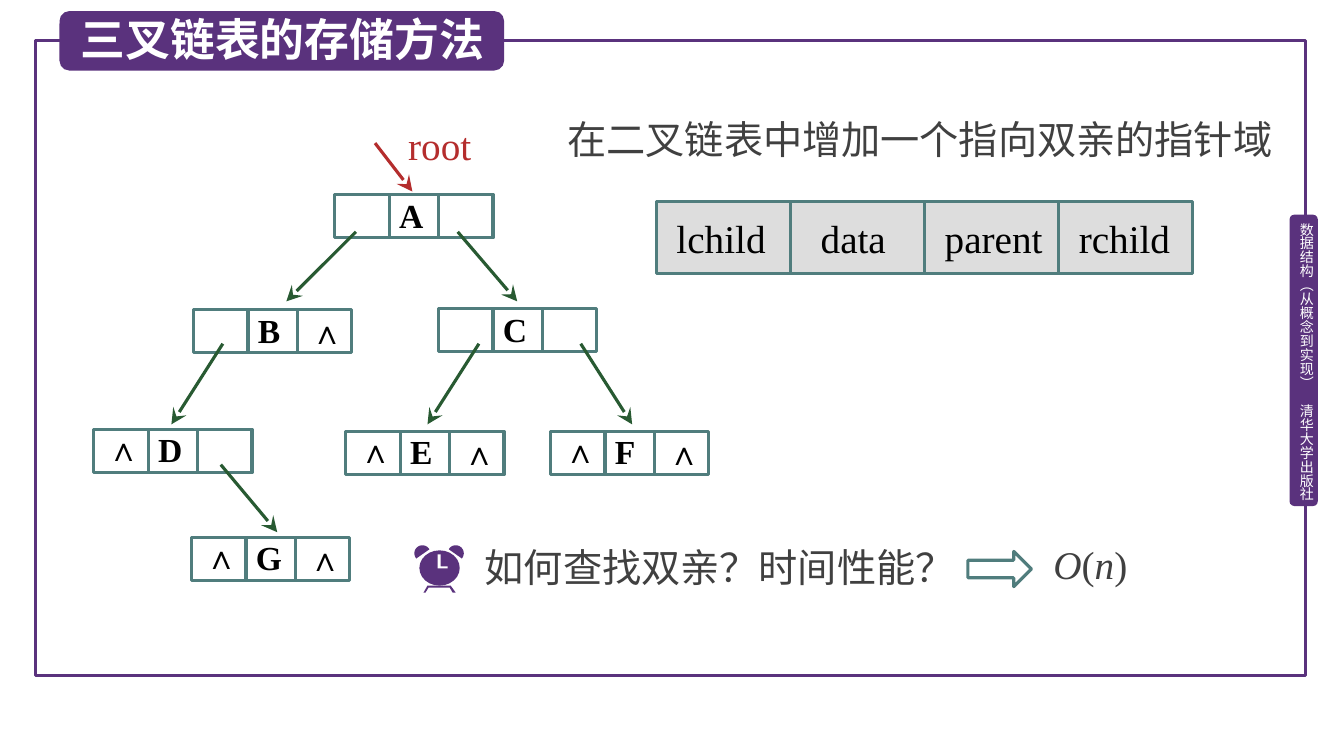
import math

from lxml import etree
from pptx import Presentation
from pptx.dml.color import RGBColor
from pptx.enum.shapes import MSO_CONNECTOR, MSO_SHAPE
from pptx.enum.text import MSO_ANCHOR, MSO_AUTO_SIZE, PP_ALIGN
from pptx.oxml.ns import qn
from pptx.util import Inches, Pt

RECTANGLE = MSO_SHAPE.RECTANGLE
ROUNDED = MSO_SHAPE.ROUNDED_RECTANGLE
COLORS = {"purple": "5A327D", "teal": "507D7D", "green": "285A32", "red": "B42D2D",
          "gray": "404040", "field": "DDDDDD", "black": "000000", "white": "FFFFFF"}
SERIF, CJK = "Times New Roman", "Noto Sans CJK SC"

presentation = Presentation()
presentation.slide_width, presentation.slide_height = Inches(13.33), Inches(7.5)
slide = presentation.slides.add_slide(presentation.slide_layouts[5])
shapes = slide.shapes


def paint(shape, fill=None, line=None):
    shape.shadow.inherit = False
    if fill:
        shape.fill.solid()
        shape.fill.fore_color.rgb = RGBColor.from_string(COLORS[fill])
    else:
        shape.fill.background()
    if line:
        shape.line.color.rgb = RGBColor.from_string(COLORS[line])
        shape.line.width = Pt(2.25)
    else:
        shape.line.fill.background()
    return shape


def write(shape, runs, size, color, font=SERIF, bold=False,
          insets=(0.1, 0.05, 0.1, 0.05), anchor=MSO_ANCHOR.TOP):
    frame = shape.text_frame
    frame.word_wrap, frame.auto_size, frame.vertical_anchor = True, MSO_AUTO_SIZE.NONE, anchor
    (frame.margin_left, frame.margin_top,
     frame.margin_right, frame.margin_bottom) = [Inches(inset) for inset in insets]
    paragraph = frame.paragraphs[0]
    paragraph.alignment = PP_ALIGN.LEFT
    for text, italic in runs:
        run = paragraph.add_run()
        run.text = text
        run.font.name, run.font.size = font, Pt(size)
        run.font.bold, run.font.italic = bold, italic
        run.font.color.rgb = RGBColor.from_string(COLORS[color])
        etree.SubElement(run.font._element, qn("a:ea"), typeface=font)


# Page frame and side tab
paint(shapes.add_shape(RECTANGLE, Inches(0.35), Inches(0.4), Inches(12.6), Inches(6.3)),
      line="purple")
paint(shapes.add_shape(ROUNDED, Inches(12.79), Inches(2.13), Inches(0.28), Inches(2.89)),
      fill="purple")
side_text = shapes.add_textbox(Inches(12.87), Inches(2.21), Inches(0.17), Inches(2.81))
write(side_text, [("数据结构（从概念到实现）　清华大学出版社", False)], 10, "white", CJK,
      insets=(0, 0, 0, 0))
side_text.text_frame._txBody.bodyPr.set("vert", "eaVert")

# Title on its badge
badge = paint(shapes.add_shape(ROUNDED, Inches(0.59), Inches(0.11), Inches(4.41), Inches(0.59)),
              fill="purple")
title = shapes.title
title.left, title.top, title.width, title.height = [Inches(n) for n in (0.7, 0.07, 4.3, 0.64)]
write(title, [("三叉链表的存储方法", False)], 32, "white", CJK, bold=True)
badge.element.addnext(title.element)

# Tree nodes: name, left, top, null left child, null right child
NODES = [("A", 3.32, 1.93, False, False), ("B", 1.92, 3.07, False, True),
         ("C", 4.35, 3.06, False, False), ("D", 0.93, 4.26, True, False),
         ("E", 3.43, 4.28, True, True), ("F", 5.46, 4.28, True, True),
         ("G", 1.9, 5.33, True, True)]
for name, left, top, null_left, null_right in NODES:
    paint(shapes.add_shape(RECTANGLE, Inches(left), Inches(top), Inches(1.57), Inches(0.43)),
          line="teal")
    data_cell = paint(shapes.add_shape(RECTANGLE, Inches(left + 0.54), Inches(top),
                                       Inches(0.49), Inches(0.43)), line="teal")
    write(data_cell, [(name, False)], 24, "black", bold=True, insets=(0.1, 0, 0.02, 0.01))
    for is_null, shift, drop in ((null_left, 0.07, -0.02), (null_right, 1.1, 0)):
        if is_null:
            null_mark = shapes.add_textbox(Inches(left + shift), Inches(top + drop),
                                           Inches(0.46), Inches(0.4))
            write(null_mark, [("∧", False)], 24, "black", bold=True,
                  insets=(0.06, 0.01, 0.02, 0.01))

# Pointers: start, end, colour
POINTERS = [(3.72, 1.42, 4.09, 1.9, "red"), (3.53, 2.3, 2.84, 2.99, "green"),
            (4.54, 2.3, 5.13, 2.99, "green"), (2.21, 3.41, 1.7, 4.21, "green"),
            (4.75, 3.41, 4.24, 4.21, "green"), (5.76, 3.41, 6.27, 4.21, "green"),
            (2.19, 4.61, 2.75, 5.28, "green")]
for *ends, color in POINTERS:
    pointer = shapes.add_connector(MSO_CONNECTOR.STRAIGHT, *[Inches(n) for n in ends])
    pointer.line.color.rgb = RGBColor.from_string(COLORS[color])
    pointer.line.width = Pt(2.25)
    etree.SubElement(pointer.line._get_or_add_ln(), qn("a:tailEnd"),
                     type="stealth", w="lg", len="lg")
    etree.SubElement(pointer._element.spPr, qn("a:effectLst"))

# Node layout fields: name and left inset
for index, (field, inset) in enumerate([("lchild", 0.2), ("data", 0.3),
                                        ("parent", 0.2), ("rchild", 0.2)]):
    field_cell = paint(shapes.add_shape(RECTANGLE, Inches(6.51 + 1.33 * index), Inches(2),
                                        Inches(1.33), Inches(0.71)), "field", "teal")
    write(field_cell, [(field, False)], 28, "black", insets=(inset, 0, 0.02, 0),
          anchor=MSO_ANCHOR.MIDDLE)

# Labels: left, top, width, colour, font, runs
LABELS = [
    (3.95, 1.15, 1.41, "red", SERIF, [("root", False)]),
    (5.53, 1.09, 7.23, "gray", CJK, [("在二叉链表中增加一个指向双亲的指针域", False)]),
    (4.71, 5.34, 4.89, "gray", CJK, [("如何查找双亲？时间性能？", False)]),
    (10.35, 5.31, 1.03, "gray", SERIF,
     [("O", True), ("(", False), ("n", True), (")", False)]),
]
for left, top, width, color, font, runs in LABELS:
    label = shapes.add_textbox(Inches(left), Inches(top), Inches(width), Inches(0.57))
    write(label, runs, 28, color, font)
paint(shapes.add_shape(MSO_SHAPE.RIGHT_ARROW, Inches(9.6), Inches(5.47),
                       Inches(0.63), Inches(0.35)), line="teal")

# Alarm clock: face, bells, feet and hands
paint(shapes.add_shape(MSO_SHAPE.OVAL, Inches(4.16), Inches(5.46), Inches(0.4), Inches(0.35)),
      fill="purple")
left_bell = [(4.19 + 0.08 * math.cos(math.radians(angle)),
              5.49 + 0.08 * math.sin(math.radians(angle))) for angle in range(140, 331, 10)]
right_bell = [(8.71 - x, y) for x, y in left_bell]
feet = [(4.2, 5.88), (4.24, 5.81), (4.47, 5.81), (4.52, 5.88),
        (4.49, 5.88), (4.46, 5.83), (4.25, 5.83), (4.22, 5.88)]
hands = [(4.34, 5.5), (4.37, 5.5), (4.37, 5.62), (4.44, 5.62), (4.44, 5.64), (4.34, 5.64)]
for outline, color in ((left_bell, "purple"), (right_bell, "purple"),
                       (feet, "purple"), (hands, "white")):
    points = [(Inches(x), Inches(y)) for x, y in outline]
    builder = shapes.build_freeform(*points[0])
    builder.add_line_segments(points[1:], close=True)
    paint(builder.convert_to_shape(), fill=color)

presentation.save("out.pptx")
